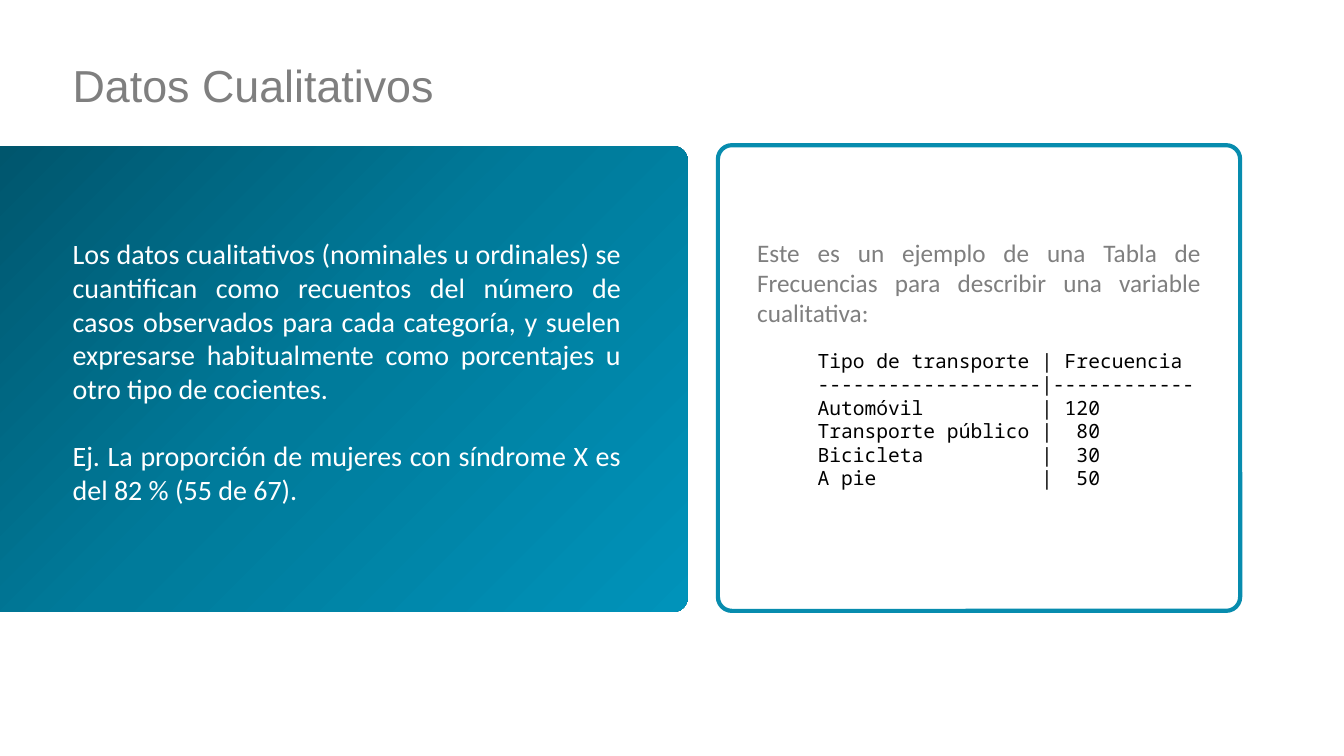
from copy import deepcopy

from lxml import etree
from pptx import Presentation
from pptx.dml.color import RGBColor
from pptx.enum import shapes, text
from pptx.oxml import ns
from pptx.util import Inches, Pt

COLORS = {"deep": "00546B", "teal": "007B9B", "bright": "0093BA",
          "border": "078CAE", "gray": "7F7F7F", "white": "FFFFFF", "black": "000000"}


def color(name):
    return RGBColor.from_string(COLORS[name])


def write(shape, box, paragraphs, font, size, color_name, align, gap=0, line_spacing=1.0):
    """Place a text shape and fill it with plain, unbulleted paragraphs."""
    shape.left, shape.top, shape.width, shape.height = map(Inches, box)
    frame = shape.text_frame
    frame.text = "\n".join(paragraphs)
    frame.word_wrap = True
    frame.auto_size = text.MSO_AUTO_SIZE.NONE
    for index, paragraph in enumerate(frame.paragraphs):
        properties = paragraph._p.get_or_add_pPr()
        properties.set("marL", "0")
        properties.set("indent", "0")
        etree.SubElement(properties, ns.qn("a:buNone"))
        paragraph.alignment = align
        paragraph.line_spacing = line_spacing
        paragraph.space_before = Pt(gap if index else 0)
        for run in paragraph.runs:
            run.font.name, run.font.size = font, Pt(size)
            run.font.color.rgb = color(color_name)


presentation = Presentation()
presentation.slide_width, presentation.slide_height = Inches(13.33), Inches(7.5)
slide = presentation.slides.add_slide(presentation.slide_layouts[3])
title, explanation, example = slide.placeholders

# Rounded panels, placed behind the text
panels = []
for position, box in enumerate([(-0.28, 1.45, 7.1, 4.62), (7.12, 1.44, 5.18, 4.62)]):
    panel = slide.shapes.add_shape(shapes.MSO_SHAPE.ROUNDED_RECTANGLE, *map(Inches, box))
    panel.adjustments[0] = 0.03
    panel.shadow.inherit = False
    slide.shapes._spTree.insert(2 + position, panel._element)
    panels.append(panel)
gradient_panel, outlined_panel = panels

# Three-stop diagonal gradient on the left panel
gradient_panel.line.fill.background()
fill = gradient_panel.fill
fill.gradient()
fill.gradient_angle = 315
stop_list = gradient_panel._element.spPr.find(".//" + ns.qn("a:gsLst"))
stop_list.append(deepcopy(stop_list[-1]))
for stop, position, name in zip(fill.gradient_stops, (0, 0.5, 1), ("deep", "teal", "bright")):
    stop.position = position
    stop.color.rgb = color(name)

# White right panel with a teal outline
outlined_panel.fill.solid()
outlined_panel.fill.fore_color.rgb = color("white")
outlined_panel.line.color.rgb = color("border")
outlined_panel.line.width = Pt(3)

# Title and body text
write(title, (0.62, 0.31, 11.79, 0.8), ["Datos Cualitativos"],
      "Arial", 32, "gray", text.PP_ALIGN.LEFT, line_spacing=1.5)
title.text_frame.vertical_anchor = text.MSO_ANCHOR.MIDDLE
write(explanation, (0.62, 2.3, 5.64, 2.79),
      ["Los datos cualitativos (nominales u ordinales) se cuantifican como recuentos "
       "del número de casos observados para cada categoría, y suelen expresarse "
       "habitualmente como porcentajes u otro tipo de cocientes.",
       "Ej. La proporción de mujeres con síndrome X es del 82 % (55 de 67)."],
      "Calibri", 20, "white", text.PP_ALIGN.JUSTIFY, gap=24)
write(example, (7.41, 2.3, 4.6, 1.01),
      ["Este es un ejemplo de una Tabla de Frecuencias para describir una variable "
       "cualitativa:"],
      "Calibri", 18, "gray", text.PP_ALIGN.JUSTIFY)

# Frequency table as monospaced text
frequencies = {"Automóvil": 120, "Transporte público": 80, "Bicicleta": 30, "A pie": 50}
lines = ["Tipo de transporte | Frecuencia", "-" * 19 + "|" + "-" * 12]
lines += [f"{transport:<18} | {count:>3}" for transport, count in frequencies.items()]
frequency_box = slide.shapes.add_textbox(0, 0, 0, 0)
write(frequency_box, (8.01, 3.41, 4.29, 1.51), lines,
      "Noto Sans Mono", 14, "black", text.PP_ALIGN.LEFT)

presentation.save("out.pptx")
